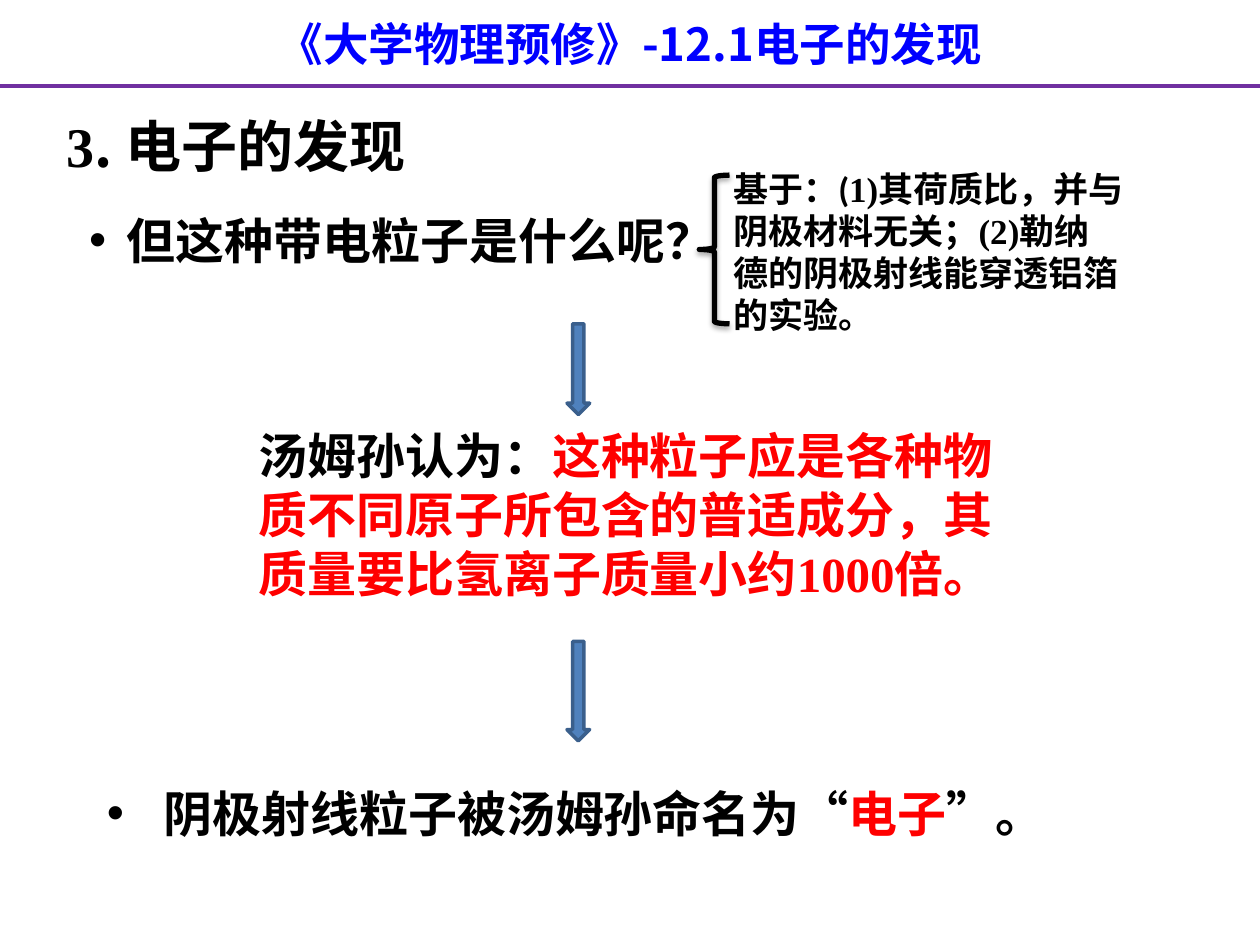
"""Build the lecture slide on the discovery of the electron."""
from dataclasses import dataclass

from lxml import etree
from pptx import Presentation
from pptx.dml.color import RGBColor
from pptx.enum.lang import MSO_LANGUAGE_ID
from pptx.enum.shapes import MSO_CONNECTOR, MSO_SHAPE
from pptx.enum.text import MSO_ANCHOR, PP_ALIGN
from pptx.oxml.ns import qn
from pptx.util import Inches, Pt

LEFT, CENTER = PP_ALIGN.LEFT, PP_ALIGN.CENTER
TOP, MIDDLE = MSO_ANCHOR.TOP, MSO_ANCHOR.MIDDLE
DOWN_ARROW, LEFT_BRACE = MSO_SHAPE.DOWN_ARROW, MSO_SHAPE.LEFT_BRACE
STRAIGHT = MSO_CONNECTOR.STRAIGHT
CHINESE = MSO_LANGUAGE_ID.SIMPLIFIED_CHINESE

COLUMNS, ROWS = 100, 75
CELL = Inches(0.1)
LINE_RATIO = 1.2
HAN, SERIF, SANS, BULLET = "Noto Sans CJK SC", "Times New Roman", "Calibri", "Arial"
COLORS = {
    "title": "0000FF", "rule": "7030A0", "ink": "000000",
    "stress": "FF0000", "arrow": "4F81BD", "arrow_edge": "3A5F8C",
}


@dataclass(frozen=True)
class Area:
    column: float
    row: float
    columns: float
    rows: float

    def lengths(self) -> list[int]:
        return [cells(n) for n in (self.column, self.row, self.columns, self.rows)]


@dataclass(frozen=True)
class Span:
    text: str
    font: str
    color: str = "ink"


@dataclass(frozen=True)
class TextBlock:
    area: Area
    size: int
    spans: tuple[Span, ...]
    align: PP_ALIGN = LEFT
    anchor: MSO_ANCHOR = TOP
    bullet_indent: float = 0


BLOCKS = (
    TextBlock(Area(0, 0.8, COLUMNS, 5.4), 26,
              (Span("《大学物理预修》-12.1电子的发现", HAN, "title"),), CENTER),
    TextBlock(Area(6.1, 16.2, 69.7, 7.4), 28,
              (Span("但这种带电粒子是什么呢？", BULLET),), bullet_indent=3),
    TextBlock(Area(18.6, 33.3, 62.1, 15.1), 28, (
        Span("汤姆孙认为：", SANS),
        Span("这种粒子应是各种物质不同原子所包含的普适成分，其质量要比氢离子质量小约",
             HAN, "stress"),
        Span("1000", SERIF, "stress"),
        Span("倍。", HAN, "stress"),
    ), CENTER),
    TextBlock(Area(4.3, 7.6, 62, 7.8), 32,
              (Span("3", SERIF), Span(". 电子的发现", HAN)), anchor=MIDDLE),
    TextBlock(Area(7.5, 61.7, 90.2, 5.6), 28, (
        Span("阴极射线粒子被", SERIF),
        Span("汤姆孙命名为“", SANS),
        Span("电子", HAN, "stress"),
        Span("”。", SANS),
    ), bullet_indent=4.5),
    TextBlock(Area(57.2, 12.8, 33, 14.5), 20, (
        Span("基于：(", SANS),
        Span("1)其荷质比，并与阴极材料无关；(2)勒纳德的阴极射线能穿透铝箔的实验。", SERIF),
    )),
)
ARROWS = (Area(45, 25.7, 1.8, 7.2), Area(45, 50.9, 1.8, 7.9))
BRACE = Area(55.5, 13.9, 2.4, 11.8)
RULE_ROW = 6.8


def cells(count: float) -> int:
    return round(count * CELL)


def rgb(name: str) -> RGBColor:
    return RGBColor.from_string(COLORS[name])


def add_bullet(paragraph, indent: float) -> None:
    properties = paragraph._p.get_or_add_pPr()
    properties.set("marL", str(cells(indent)))
    properties.set("indent", str(-cells(indent)))
    etree.SubElement(properties, qn("a:buFont"), typeface=BULLET)
    etree.SubElement(properties, qn("a:buChar"), char="•")


def add_span(paragraph, span: Span, size: int) -> None:
    run = paragraph.add_run()
    run.text = span.text
    font = run.font
    font.size, font.bold, font.name = Pt(size), True, span.font
    font.language_id = CHINESE
    font.color.rgb = rgb(span.color)
    etree.SubElement(font._element, qn("a:ea"), typeface=HAN)


def add_text(page, block: TextBlock) -> None:
    box = page.shapes.add_textbox(*block.area.lengths())
    frame = box.text_frame
    frame.word_wrap = True
    frame.vertical_anchor = block.anchor
    paragraph = frame.paragraphs[0]
    paragraph.alignment = block.align
    if block.bullet_indent:
        add_bullet(paragraph, block.bullet_indent)
    paragraph.line_spacing = Pt(block.size * LINE_RATIO)
    for span in block.spans:
        add_span(paragraph, span, block.size)


def add_rule(page) -> None:
    rule = page.shapes.add_connector(
        STRAIGHT, 0, cells(RULE_ROW), cells(COLUMNS), cells(RULE_ROW))
    rule.line.color.rgb = rgb("rule")
    rule.line.width = Pt(2.25)
    etree.SubElement(rule._element.spPr, qn("a:effectLst"))


def add_arrow(page, area: Area) -> None:
    arrow = page.shapes.add_shape(DOWN_ARROW, *area.lengths())
    arrow.shadow.inherit = False
    arrow.fill.solid()
    arrow.fill.fore_color.rgb = rgb("arrow")
    arrow.line.color.rgb = rgb("arrow_edge")
    arrow.line.width = Pt(2)


def add_brace(page, area: Area) -> None:
    brace = page.shapes.add_shape(LEFT_BRACE, *area.lengths())
    brace.fill.background()
    brace.line.color.rgb = rgb("ink")
    brace.line.width = Pt(3)
    brace.shadow.inherit = False
    effects = brace._element.spPr.find(qn("a:effectLst"))
    shadow = etree.SubElement(
        effects, qn("a:outerShdw"), blurRad=str(Pt(3.1)), dist=str(Pt(1.8)),
        dir="5400000", rotWithShape="0")
    color = etree.SubElement(shadow, qn("a:srgbClr"), val=COLORS["ink"])
    etree.SubElement(color, qn("a:alpha"), val="35000")


def main() -> None:
    deck = Presentation()
    deck.slide_width, deck.slide_height = cells(COLUMNS), cells(ROWS)
    page = deck.slides.add_slide(deck.slide_layouts[6])
    add_rule(page)
    for block in BLOCKS:
        add_text(page, block)
    for area in ARROWS:
        add_arrow(page, area)
    add_brace(page, BRACE)
    deck.save("out.pptx")


if __name__ == "__main__":
    main()
